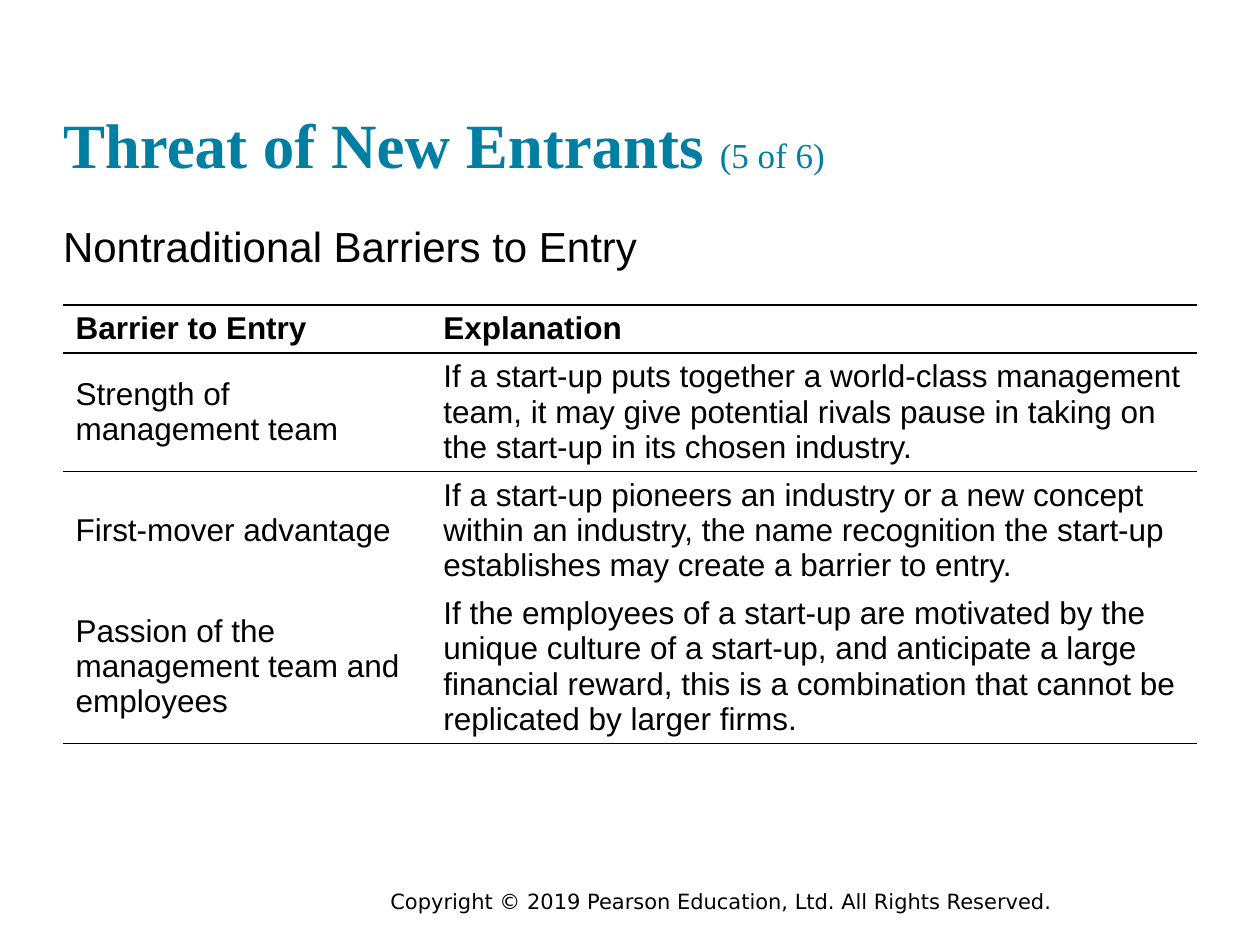
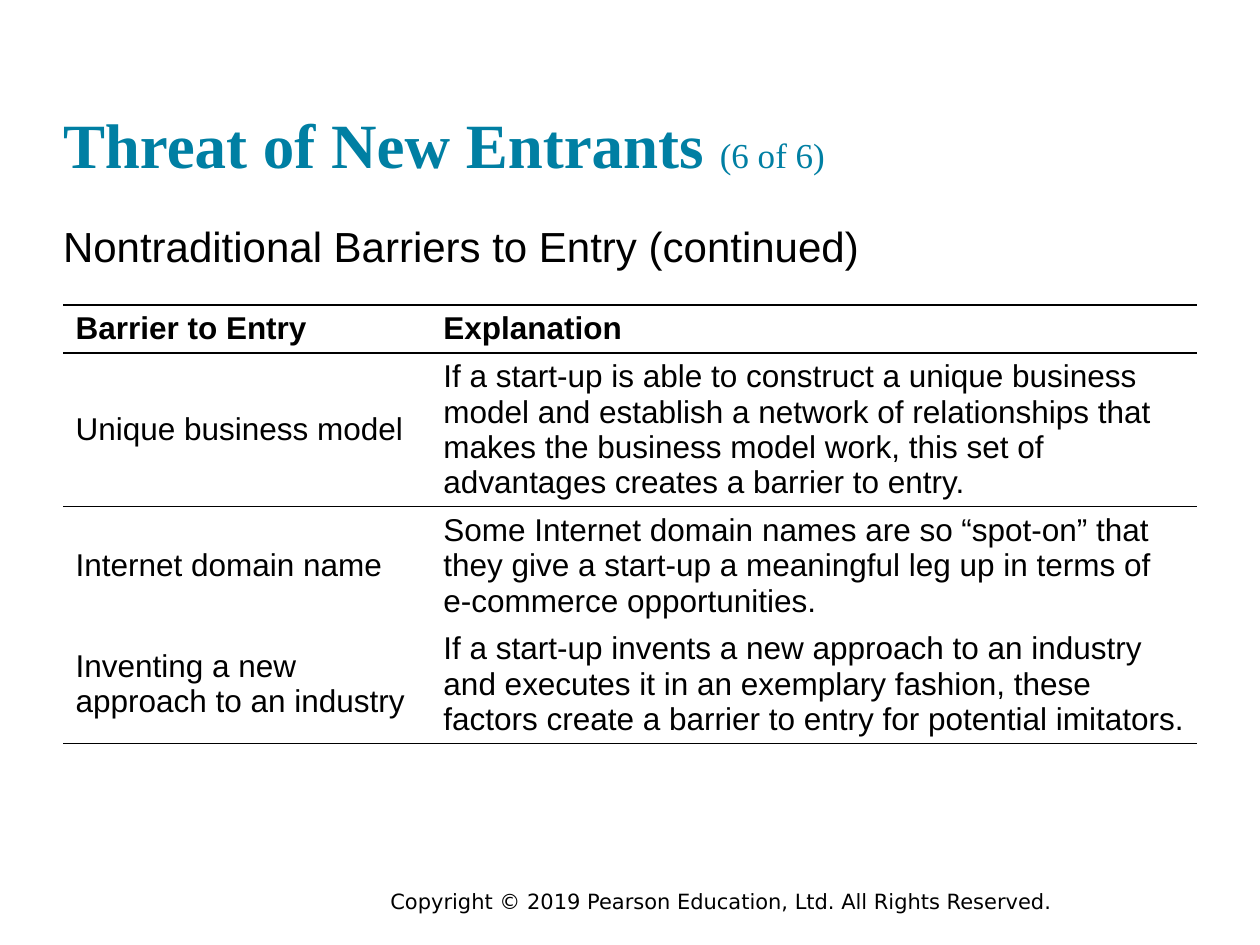
from pptx import Presentation
from pptx.dml.color import RGBColor
from pptx.enum import text as t
from pptx.oxml import parse_xml
from pptx.oxml.ns import nsdecls
from pptx.util import Inches, Pt

TEAL = RGBColor(0x00, 0x7F, 0xA3)
BLACK = RGBColor(0, 0, 0)
WHITE = RGBColor(255, 255, 255)
SERIF, SANS, NOTE = "Times New Roman", "Arial", "DejaVu Sans"
LEFT, WIDE = 0.5, 9
COLS = (2.92, 6.08)
LINE, PAD = 0.28, 0.1  # height of a text line, cell padding above and below
NO_STYLE = "{2D5ABB26-0587-4C30-8999-92F81FD0307C}"
HEAD = ("Barrier to Entry", "Explanation", 1)

# Each row: barrier, explanation, number of text lines
SLIDES = [
    ("(5 of 6)", "Nontraditional Barriers to Entry", [
        ("Strength of management team",
         "If a start-up puts together a world-class management team, it may "
         "give potential rivals pause in taking on the start-up in its "
         "chosen industry.", 3),
        ("First-mover advantage",
         "If a start-up pioneers an industry or a new concept within an "
         "industry, the name recognition the start-up establishes may create "
         "a barrier to entry.", 3),
        ("Passion of the management team and employees",
         "If the employees of a start-up are motivated by the unique culture "
         "of a start-up, and anticipate a large financial reward, this is a "
         "combination that cannot be replicated by larger firms.", 4),
    ]),
    ("(6 of 6)", "Nontraditional Barriers to Entry (continued)", [
        ("Unique business model",
         "If a start-up is able to construct a unique business model and "
         "establish a network of relationships that makes the business model "
         "work, this set of advantages creates a barrier to entry.", 4),
        ("Internet domain name",
         "Some Internet domain names are so “spot-on” that they give a "
         "start-up a meaningful leg up in terms of e-commerce "
         "opportunities.", 3),
        ("Inventing a new approach to an industry",
         "If a start-up invents a new approach to an industry and executes "
         "it in an exemplary fashion, these factors create a barrier to "
         "entry for potential imitators.", 3),
    ]),
]


def style(run, face, size, color=BLACK, bold=False):
    font = run.font
    font.name, font.size, font.bold = face, Pt(size), bold
    font.color.rgb = color


def place(shape, top, height, anchor):
    """Move a placeholder and give its frame no margins."""
    shape.left, shape.top = Inches(LEFT), Inches(top)
    shape.width, shape.height = Inches(WIDE), Inches(height)
    frame = shape.text_frame
    frame.margin_left = frame.margin_right = 0
    frame.margin_top = frame.margin_bottom = 0
    frame.auto_size = t.MSO_AUTO_SIZE.NONE
    frame.word_wrap = True
    frame.vertical_anchor = anchor
    return frame


def add_title(slide, part):
    frame = place(slide.shapes.title, 0.24, 1.2, t.MSO_ANCHOR.BOTTOM)
    para = frame.paragraphs[0]
    para.alignment = t.PP_ALIGN.LEFT
    for words, size, bold in (("Threat of New Entrants ", 36, True),
                              (part, 20, False)):
        run = para.add_run()
        run.text = words
        style(run, SERIF, size, TEAL, bold)


def add_lead(slide, words):
    frame = place(slide.placeholders[1], 1.75, 0.42, t.MSO_ANCHOR.TOP)
    frame.text = words
    para = frame.paragraphs[0]
    props = para._p.get_or_add_pPr()
    props.set("marL", "0")
    props.set("indent", "0")
    props.append(parse_xml(f"<a:buNone {nsdecls('a')}/>"))
    para.space_before = Pt(0)
    style(para.runs[0], SANS, 24)


def add_rule(cell, side):
    """Draw a thin border on the top (T) or bottom (B) of a cell."""
    xml = (f'<a:ln{side} {nsdecls("a")} w="{Pt(1)}"><a:solidFill>'
           f'<a:srgbClr val="{BLACK}"/></a:solidFill></a:ln{side}>')
    cell._tc.get_or_add_tcPr().insert(0, parse_xml(xml))


def fill_cell(cell, words, head):
    cell.text = words
    cell.fill.solid()
    cell.fill.fore_color.rgb = WHITE
    cell.vertical_anchor = t.MSO_ANCHOR.BOTTOM if head else t.MSO_ANCHOR.MIDDLE
    style(cell.text_frame.paragraphs[0].runs[0], SANS, 18, bold=head)


def add_grid(slide, rows):
    rows = [HEAD] + rows
    tall = [LINE * row[2] + PAD for row in rows]
    table = slide.shapes.add_table(
        len(rows), len(COLS), Inches(LEFT), Inches(2.42),
        Inches(WIDE), Inches(sum(tall))).table
    table._tbl.tblPr[0].text = NO_STYLE
    table.horz_banding = False
    for col, width in zip(table.columns, COLS):
        col.width = Inches(width)
    for i, row in enumerate(rows):
        table.rows[i].height = Inches(tall[i])
        for cell, words in zip(table.rows[i].cells, row):
            fill_cell(cell, words, i == 0)
            if i in (0, len(rows) - 1):
                add_rule(cell, "B")
            if i < 2:
                add_rule(cell, "T")


def add_foot(slide):
    box = slide.shapes.add_textbox(
        Inches(3), Inches(7), Inches(6.67), Inches(0.3))
    frame = box.text_frame
    frame.word_wrap = True
    frame.text = "Copyright © 2019 Pearson Education, Ltd. All Rights Reserved."
    style(frame.paragraphs[0].runs[0], NOTE, 12)


def main():
    deck = Presentation()
    deck.slide_width, deck.slide_height = Inches(10), Inches(7.5)
    for part, lead, rows in SLIDES:
        slide = deck.slides.add_slide(deck.slide_layouts[1])
        add_title(slide, part)
        add_lead(slide, lead)
        add_grid(slide, rows)
        add_foot(slide)
    deck.save("out.pptx")


if __name__ == "__main__":
    main()
